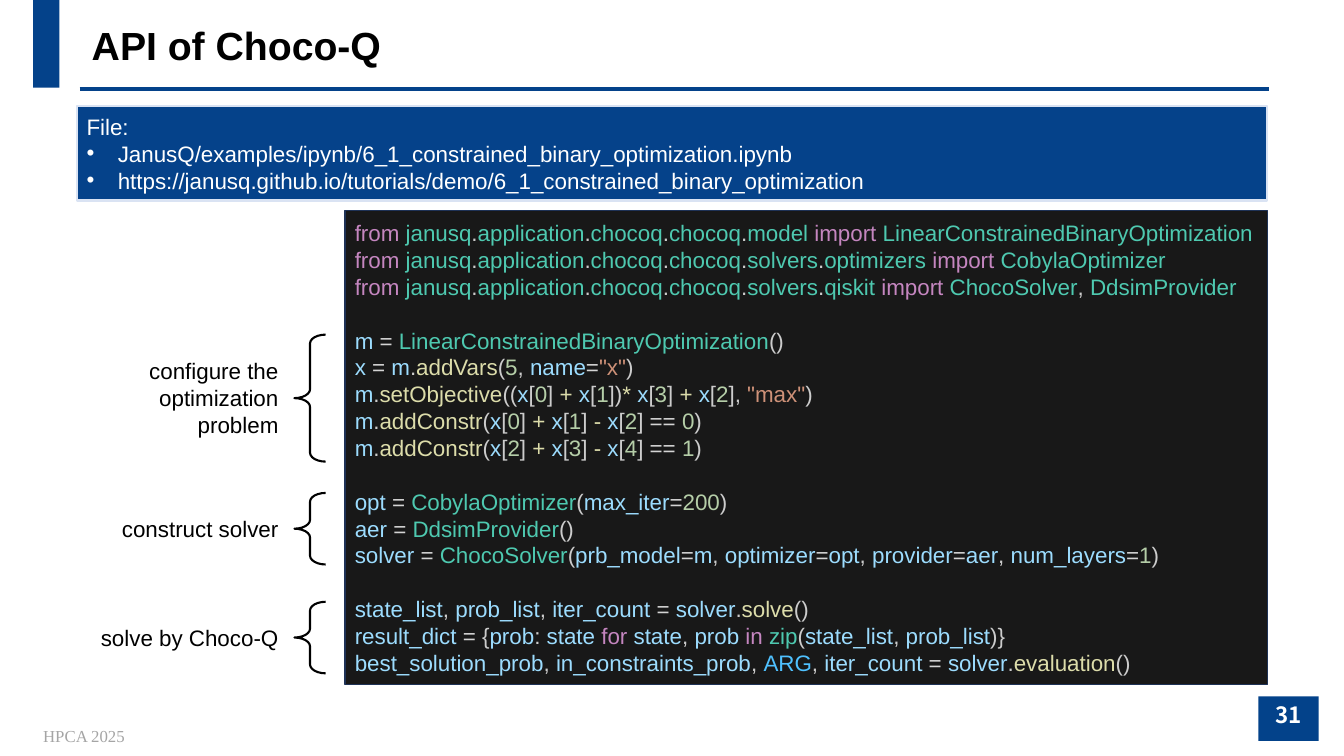
from itertools import groupby
from lxml.etree import SubElement
from pptx import Presentation
from pptx.dml.color import RGBColor
from pptx.enum.shapes import MSO_CONNECTOR, MSO_SHAPE
from pptx.enum.text import MSO_ANCHOR, PP_ALIGN
from pptx.oxml.ns import qn
from pptx.util import Emu, Inches, Pt

COLORS = {
    "navy": "04428A", "badge": "03428A", "banner": "05428A", "pale": "DAE3F3",
    "black": "000000", "white": "FFFFFF", "gray": "A5A5A5",
    "editor": "181818", "edge": "1E3256",
    "keyword": "C586C0", "type": "4EC9B0", "punct": "CCCCCC", "variable": "9CDCFE",
    "assign": "D4D4D4", "function": "DCDCAA", "number": "B5CEA8",
    "string": "CE9178", "constant": "4FC1FF",
}
KEYWORDS = {"from", "import", "for", "in"}
FUNCTIONS = {"addVars", "setObjective", "addConstr", "solve", "evaluation"}

CODE = [
    """from janusq.application.chocoq.chocoq.model import LinearConstrainedBinaryOptimization
from janusq.application.chocoq.chocoq.solvers.optimizers import CobylaOptimizer
from janusq.application.chocoq.chocoq.solvers.qiskit import ChocoSolver, DdsimProvider""",
    """m = LinearConstrainedBinaryOptimization()
x = m.addVars(5, name="x")
m.setObjective((x[0] + x[1])* x[3] + x[2], "max")
m.addConstr(x[0] + x[1] - x[2] == 0)
m.addConstr(x[2] + x[3] - x[4] == 1)""",
    """opt = CobylaOptimizer(max_iter=200)
aer = DdsimProvider()
solver = ChocoSolver(prb_model=m, optimizer=opt, provider=aer, num_layers=1)""",
    """state_list, prob_list, iter_count = solver.solve()
result_dict = {prob: state for state, prob in zip(state_list, prob_list)}
best_solution_prob, in_constraints_prob, ARG, iter_count = solver.evaluation()""",
]
FILES = [
    "JanusQ/examples/ipynb/6_1_constrained_binary_optimization.ipynb",
    "https://janusq.github.io/tutorials/demo/6_1_constrained_binary_optimization",
]
STEPS = [
    ("configure the optimization problem", 3.32, 1.26, 0.91),
    ("construct solver", 4.89, 0.71, 0.37),
    ("solve by Choco-Q", 5.97, 0.71, 0.37),
]


def char_kind(c):
    if c.isalnum() or c == "_":
        return "word"
    if c.isspace():
        return "space"
    return "assign" if c == "=" else "function" if c in "+-*" else "punct"


def word_color(word, importing):
    if word in KEYWORDS:
        return "keyword"
    if word.isdigit():
        return "number"
    if word == "ARG":
        return "constant"
    if importing or word[0].isupper() or word == "zip":
        return "type"
    return "function" if word in FUNCTIONS else "variable"


def highlight(line):
    runs = []
    for i, part in enumerate(line.split('"')):
        if i % 2:
            runs.append([f'"{part}"', "string"])
            continue
        for kind, chars in groupby(part, char_kind):
            token = "".join(chars)
            if kind == "space":
                runs[-1][0] += token
            else:
                color = word_color(token, line.startswith("from ")) if kind == "word" else kind
                runs.append([token, color])
    return runs


class SlideBuilder:
    COLS, ROWS = 13.33, 7.5
    FONT, SIZE = "Arial", 16

    def __init__(self, prs):
        prs.slide_width, prs.slide_height = Inches(self.COLS), Inches(self.ROWS)
        self.col = prs.slide_width / self.COLS
        self.row = prs.slide_height / self.ROWS
        self.s = prs.slides.add_slide(prs.slide_layouts[5])

    def box(self, x, y, w, h):
        return Emu(round(x * self.col)), Emu(round(y * self.row)), Emu(round(w * self.col)), Emu(round(h * self.row))

    def rgb(self, name):
        return RGBColor.from_string(COLORS[name])

    def run(self, p, text, color, size=SIZE, font=FONT, bold=False):
        r = p.add_run()
        r.text = text
        r.font.name, r.font.size, r.font.bold = font, Pt(size), bold
        r.font.color.rgb = self.rgb(color)

    def title(self, text, *at):
        sp = self.s.shapes.title
        sp.left, sp.top, sp.width, sp.height = self.box(*at)
        tf = sp.text_frame
        tf.vertical_anchor = MSO_ANCHOR.MIDDLE
        tf.margin_left = tf.margin_right = 0
        tf.paragraphs[0].alignment = PP_ALIGN.JUSTIFY
        self.run(tf.paragraphs[0], text, "black", 28, bold=True)

    def shape(self, kind, at, fill=None, line=None, weight=1.0):
        sp = self.s.shapes.add_shape(kind, *self.box(*at))
        sp.shadow.inherit = False
        if fill:
            sp.fill.solid()
            sp.fill.fore_color.rgb = self.rgb(fill)
        else:
            sp.fill.background()
        if line:
            sp.line.color.rgb = self.rgb(line)
            sp.line.width = Pt(weight)
        else:
            sp.line.fill.background()
        tf = sp.text_frame
        tf.vertical_anchor = MSO_ANCHOR.MIDDLE
        tf.paragraphs[0].alignment = PP_ALIGN.LEFT
        return sp

    def brace(self, *at):
        sp = self.shape(MSO_SHAPE.RIGHT_BRACE, at, line="black", weight=1.5)
        sp.adjustments[0], sp.adjustments[1] = 0.283, 0.5
        sp._element.spPr.find(qn("a:xfrm")).set("flipH", "1")

    def rule(self, x1, y1, x2, y2):
        begin, end = self.box(x1, y1, x2, y2)[:2], self.box(x2, y2, 0, 0)[:2]
        line = self.s.shapes.add_connector(MSO_CONNECTOR.STRAIGHT, *begin, *end)
        line.line.color.rgb, line.line.width = self.rgb("navy"), Pt(3)
        SubElement(line._element.spPr, qn("a:effectLst"))

    def label(self, text, at, align=PP_ALIGN.LEFT, wrap=True, **style):
        tf = self.s.shapes.add_textbox(*self.box(*at)).text_frame
        tf.word_wrap = wrap
        p = tf.paragraphs[0]
        p.alignment = align
        self.run(p, text, **style)

    def bullet(self, tf, text, color):
        p = tf.add_paragraph()
        p.alignment = PP_ALIGN.LEFT
        pPr = p._p.get_or_add_pPr()
        pPr.set("marL", str(Inches(0.31)))
        pPr.set("indent", str(-Inches(0.31)))
        SubElement(pPr, qn("a:buFont"), typeface="Arial")
        SubElement(pPr, qn("a:buChar"), char="•")
        self.run(p, text, color)

    def code(self, tf, blocks):
        lines = [(b, i, line) for b, block in enumerate(blocks) for i, line in enumerate(block.split("\n"))]
        for b, i, line in lines:
            p = tf.add_paragraph() if b or i else tf.paragraphs[0]
            p.alignment = PP_ALIGN.LEFT
            if b and not i:
                p.space_before = Pt(19.2)
            for text, color in highlight(line):
                self.run(p, text, color)


def main():
    prs = Presentation()
    s = SlideBuilder(prs)
    s.rule(0.79, 0.88, 12.59, 0.88)
    s.shape(MSO_SHAPE.RECTANGLE, (0.33, 0, 0.26, 0.87), "navy")
    s.title("API of Choco-Q", 0.91, 0, 9.63, 0.88)

    badge = s.shape(MSO_SHAPE.RECTANGLE, (12.48, 6.91, 0.6, 0.44), "badge")
    p = badge.text_frame.paragraphs[0]
    badge.text_frame.vertical_anchor = MSO_ANCHOR.TOP
    p.alignment = PP_ALIGN.CENTER
    s.run(p, "31", "white", font="Noto Sans CJK SC", bold=True)
    s.label("HPCA 2025", (0.33, 7.15, 1.03, 0.3), wrap=False,
            color="gray", size=12, font="Times New Roman")

    editor = s.shape(MSO_SHAPE.RECTANGLE, (3.42, 2.09, 9.15, 4.7), "editor", "edge")
    s.code(editor.text_frame, CODE)

    banner = s.shape(MSO_SHAPE.RECTANGLE, (0.76, 1.05, 11.81, 0.94), "banner", "pale", 1.5)
    s.run(banner.text_frame.paragraphs[0], "File:", "white")
    for name in FILES:
        s.bullet(banner.text_frame, name, "white")

    for text, top, height, text_height in STEPS:
        s.brace(2.92, top, 0.31, height)
        s.label(text, (0.83, top + (height - text_height) / 2, 2.03, text_height),
                PP_ALIGN.RIGHT, color="black")
    prs.save("out.pptx")


if __name__ == "__main__":
    main()
